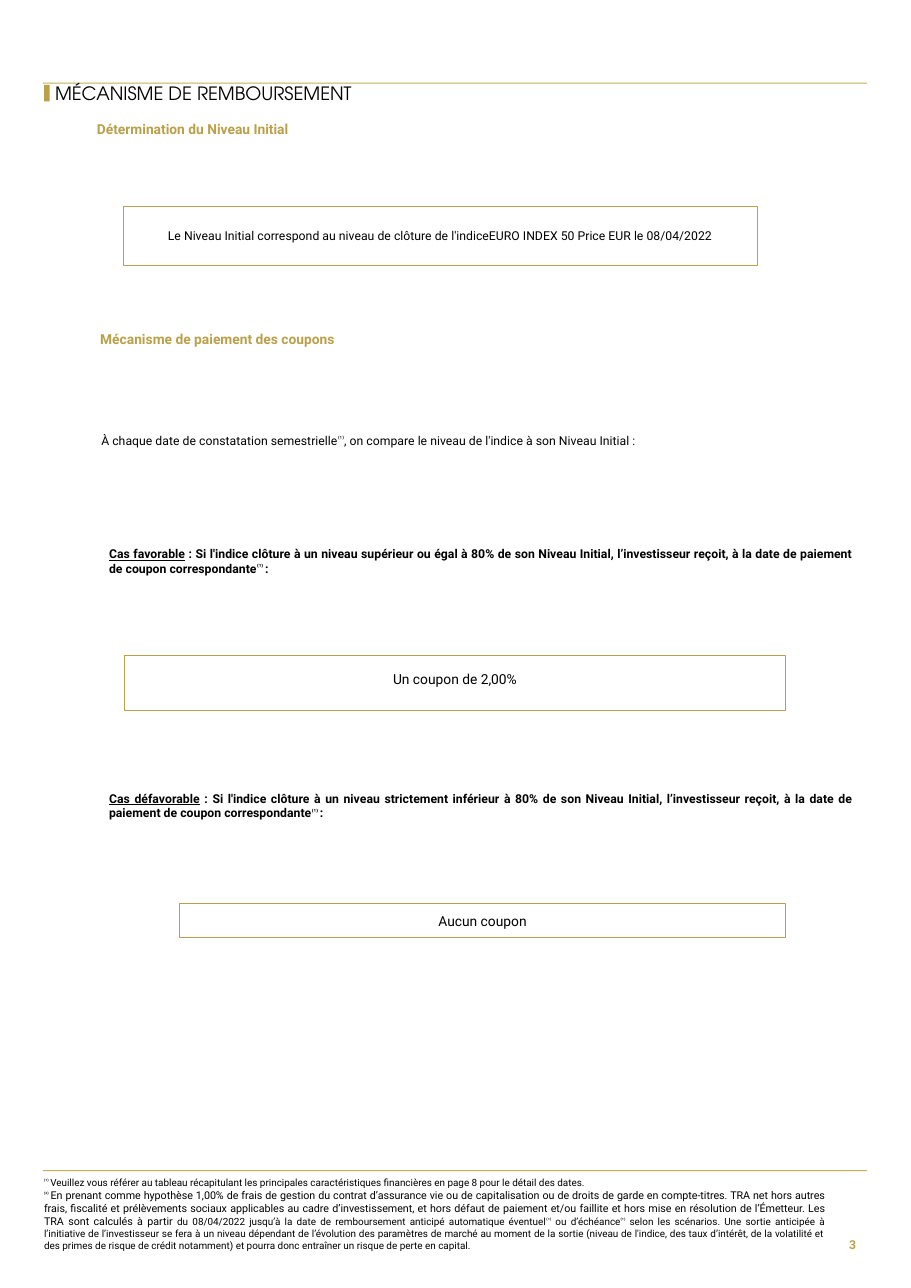
from pptx import Presentation
from pptx.dml.color import RGBColor
from pptx.enum.shapes import MSO_SHAPE
from pptx.enum.text import MSO_ANCHOR, PP_ALIGN
from pptx.util import Emu, Pt

RECT = MSO_SHAPE.RECTANGLE
TOP, MIDDLE = MSO_ANCHOR.TOP, MSO_ANCHOR.MIDDLE
LEFT, RIGHT = PP_ALIGN.LEFT, PP_ALIGN.RIGHT
CENTER, JUSTIFY = PP_ALIGN.CENTER, PP_ALIGN.JUSTIFY

GOLD = RGBColor(0xB9, 0xA0, 0x49)
SAND = RGBColor(0xC5, 0xAF, 0x5C)
BLACK = RGBColor(0, 0, 0)
WHITE = RGBColor(255, 255, 255)

BODY, TITLE = "Roboto", "TeX Gyre Adventor"
NOTE1, NOTE2 = "⁽¹⁾", "⁽²⁾"


def px(n):
    """100 px to the inch."""
    return Emu(n * 9144)


def add_run(para, text, size, color=BLACK, font=BODY, bold=False, under=False):
    run = para.add_run()
    run.text = text
    face = run.font
    face.name, face.size, face.bold = font, Pt(size), bold
    face.color.rgb = color
    if under:
        face.underline = True
    if text.startswith("⁽"):  # note marks are raised
        run._r.get_or_add_rPr().set("baseline", "30000")


def set_frame(shape, anchor, insets):
    frame = shape.text_frame
    frame.word_wrap = True
    frame.vertical_anchor = anchor
    (frame.margin_left, frame.margin_top,
     frame.margin_right, frame.margin_bottom) = map(px, insets)
    return frame


def add_text(slide, box, align=LEFT, anchor=TOP, insets=(0, 0, 0, 0)):
    shape = slide.shapes.add_textbox(*map(px, box))
    frame = set_frame(shape, anchor, insets)
    frame.paragraphs[0].alignment = align
    return frame


def add_bar(slide, box, fill):
    bar = slide.shapes.add_shape(RECT, *map(px, box))
    bar.shadow.inherit = False
    bar.fill.solid()
    bar.fill.fore_color.rgb = fill
    bar.line.fill.background()


def add_panel(slide, box, text, size, width, insets, fill=None):
    panel = slide.shapes.add_shape(RECT, *map(px, box))
    panel.shadow.inherit = False
    if fill is None:
        panel.fill.background()
    else:
        panel.fill.solid()
        panel.fill.fore_color.rgb = fill
    panel.line.color.rgb = GOLD
    panel.line.width = Pt(width)
    para = set_frame(panel, MIDDLE, insets).paragraphs[0]
    para.alignment = CENTER
    add_run(para, text, size)


def add_head(slide, box, text):
    frame = add_text(slide, box, insets=(20, 0, 0, 0))
    add_run(frame.paragraphs[0], text, 9, GOLD, bold=True)


def add_case(slide, top, label, text):
    para = add_text(slide, (99, top, 676, 27), JUSTIFY).paragraphs[0]
    add_run(para, label, 8, bold=True, under=True)
    for part in (text, NOTE1 + " ", ":"):
        add_run(para, part, 8, bold=True)


def add_notes(slide):
    frame = add_text(slide, (40, 1068, 709, 68), JUSTIFY)
    first = frame.paragraphs[0]
    add_run(first, NOTE1 + " ", 6.5)
    add_run(first, "Veuillez vous référer au tableau récapitulant les principales "
            "caractéristiques financières en page 8 pour le détail des dates.", 6.5)
    second = frame.add_paragraph()
    second.alignment = JUSTIFY
    parts = [
        (NOTE2 + " ", 6.5),
        ("En prenant comme hypothèse 1,00% de frais de gestion du contrat "
         "d’assurance vie ou de capitalisation ou de droits de garde en "
         "compte-titres. TRA net hors autres frais, fiscalité et prélèvements "
         "sociaux applicables au cadre d’investissement, et hors défaut de "
         "paiement et/ou faillite et hors mise en résolution de l’Émetteur. "
         "Les TRA sont calculés à partir ", 7),
        ("du 08/04/2022 jusqu’à la date de remboursement anticipé automatique "
         "éventuel", 6.5),
        (NOTE1, 6.5),
        (" ou d’échéance", 6.5),
        (NOTE1, 6.5),
        (" selon les scénarios. Une sortie anticipée à l’initiative de "
         "l’investisseur se fera à un niveau dépendant de l’évolution des "
         "paramètres de marché au moment de la sortie (niveau de l'indice, des "
         "taux d’intérêt, de la volatilité et des primes de risque de crédit "
         "notamment) et pourra donc entraîner un risque de perte en capital.", 6.5),
    ]
    for text, size in parts:
        add_run(second, text, size)


def main():
    deck = Presentation()
    deck.slide_width, deck.slide_height = px(827), px(1169)
    slide = deck.slides.add_slide(deck.slide_layouts[6])

    # Title band
    add_bar(slide, (39, 75, 748, 1), SAND)
    add_bar(slide, (40, 77, 5, 15), GOLD)
    para = add_text(slide, (50, 73, 421, 25), anchor=MIDDLE).paragraphs[0]
    para.line_spacing = 0.9
    add_run(para, "MÉCANISME DE REMBOURSEMENT", 12, font=TITLE)

    # Initial level
    add_head(slide, (68, 110, 317, 18), "Détermination du Niveau Initial")
    add_panel(slide, (112, 187, 576, 54),
              "Le Niveau Initial correspond au niveau de clôture de l'indice"
              "EURO INDEX 50 Price EUR le 08/04/2022", 8, 0.5, (12, 20, 12, 20))

    # Coupons
    add_head(slide, (71, 300, 677, 17), "Mécanisme de paiement des coupons")
    para = add_text(slide, (92, 393, 657, 13), JUSTIFY).paragraphs[0]
    for part in ("À chaque date de constatation semestrielle", NOTE1,
                 ", on compare le niveau de l'indice à son Niveau Initial :"):
        add_run(para, part, 8)

    add_case(slide, 496, "Cas favorable",
             " : Si l'indice clôture à un niveau supérieur ou égal à 80% de son "
             "Niveau Initial, l’investisseur reçoit, à la date de paiement de "
             "coupon correspondante")
    add_panel(slide, (113, 595, 600, 50), "Un coupon de 2,00%",
              9, 0.75, (12, 8, 12, 16), WHITE)

    add_case(slide, 718, "Cas défavorable",
             " : Si l'indice clôture à un niveau strictement inférieur à 80% de "
             "son Niveau Initial, l’investisseur reçoit, à la date de paiement de "
             "coupon correspondante")
    add_panel(slide, (163, 820, 550, 31), "Aucun coupon",
              9, 0.75, (12, 8, 12, 8), WHITE)

    # Footer
    add_bar(slide, (39, 1062, 748, 1), SAND)
    add_notes(slide)
    frame = add_text(slide, (748, 1109, 39, 42), RIGHT, MIDDLE, (10, 5, 10, 5))
    add_run(frame.paragraphs[0], "3", 8, GOLD, bold=True)

    deck.save("out.pptx")


if __name__ == "__main__":
    main()
